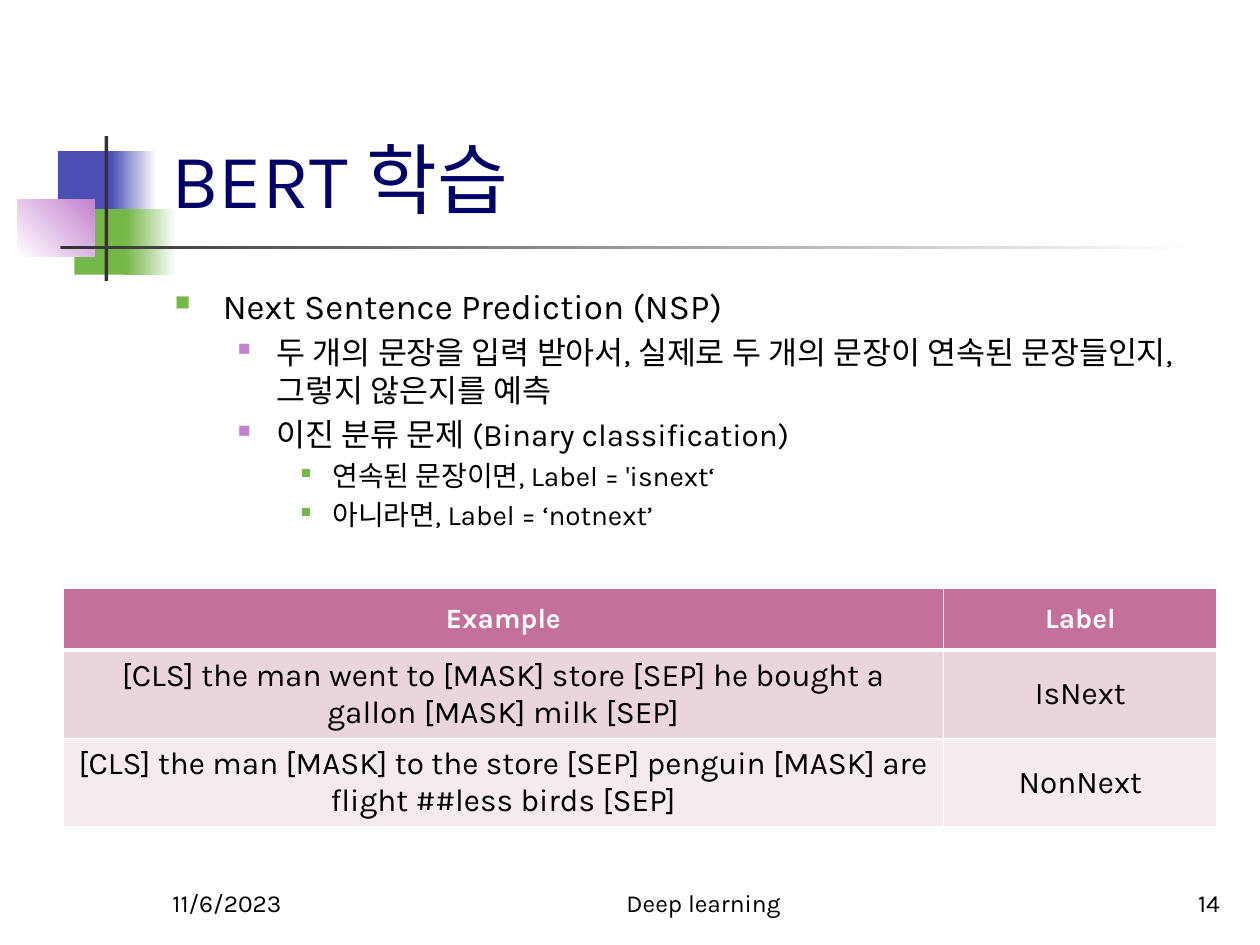
from lxml import etree
from pptx import Presentation
from pptx.dml.color import RGBColor
from pptx.enum import shapes, text
from pptx.oxml import ns
from pptx.util import Inches, Pt

FONT = "Karla"
BLACK = RGBColor(0x00, 0x00, 0x00)
WHITE = RGBColor(0xFF, 0xFF, 0xFF)
NAVY = RGBColor(0x00, 0x00, 0x66)
BLUE = RGBColor(0x4B, 0x4E, 0xB5)
GREEN = RGBColor(0x76, 0xB7, 0x49)
PURPLE = RGBColor(0xC4, 0x81, 0xCF)
GRAY = RGBColor(0x33, 0x33, 0x33)
ROSE = RGBColor(0xC4, 0x70, 0x9A)
ROSE_MID = RGBColor(0xEA, 0xD5, 0xDE)
ROSE_PALE = RGBColor(0xF5, 0xEB, 0xEF)

ORNAMENTS = [
    ((0.46, 1.2, 0.48, 0.52), [BLUE], 0),
    ((0.88, 1.2, 0.36, 0.52), [BLUE, WHITE], 0),
    ((0.59, 1.66, 0.46, 0.52), [GREEN], 0),
    ((1, 1.66, 0.4, 0.52), [GREEN, WHITE], 0),
    ((0.14, 1.58, 0.61, 0.46), [WHITE, PURPLE], 45),
    ((0.83, 1.08, 0.03, 1.15), [GRAY], 0),
    ((0.48, 1.95, 9, 0.03), [GRAY, WHITE], 0),
]
TITLE = "BERT 학습"
OUTLINE = [
    (0, "Next Sentence Prediction (NSP)"),
    (1, "두 개의 문장을 입력 받아서, 실제로 두 개의 문장이 연속된 문장들인지, 그렇지 않은지를 예측"),
    (1, "이진 분류 문제 (Binary classification)"),
    (2, "연속된 문장이면, Label = 'isnext‘"),
    (2, "아니라면, Label = ‘notnext’"),
]
LEVELS = [
    {"size": 20, "margin": 0.38, "hang": 0.38, "bullet": GREEN, "scale": 60},
    {"size": 18, "margin": 0.81, "hang": 0.31, "bullet": PURPLE, "scale": 55},
    {"size": 16, "margin": 1.25, "hang": 0.25, "bullet": GREEN, "scale": 50},
]
FOOTER = [
    ((1.27, 6.83, 2.08, 0.5), "11/6/2023", text.PP_ALIGN.LEFT),
    ((4, 6.83, 3.17, 0.5), "Deep learning", text.PP_ALIGN.CENTER),
    ((7.7, 6.83, 2.08, 0.5), "14", text.PP_ALIGN.RIGHT),
]
EXAMPLES = [
    ("Example", "Label"),
    ("[CLS] the man went to [MASK] store [SEP] he bought a gallon [MASK] milk [SEP]", "IsNext"),
    ("[CLS] the man [MASK] to the store [SEP] penguin [MASK] are flight ##less birds [SEP]", "NonNext"),
]
COLUMN_WIDTHS = [6.99, 2.17]
ROW_HEIGHTS = [0.49, 0.69, 0.69]
ROW_STYLES = [(ROSE, WHITE, 16, True), (ROSE_MID, BLACK, 18, False), (ROSE_PALE, BLACK, 18, False)]


def inches(box):
    return [Inches(length) for length in box]


def add_run(paragraph, words, size, color, bold=False):
    run = paragraph.add_run()
    run.text = words
    run.font.name = FONT
    run.font.size = Pt(size)
    run.font.bold = bold
    run.font.color.rgb = color


def add_frame(slide, box, anchor):
    frame = slide.shapes.add_textbox(*inches(box)).text_frame
    frame.word_wrap = True
    frame.vertical_anchor = anchor
    return frame


def add_child(parent, tag, **attributes):
    return etree.SubElement(parent, ns.qn(tag), **attributes)


def add_ornament(slide, box, colors, angle):
    block = slide.shapes.add_shape(shapes.MSO_SHAPE.RECTANGLE, *inches(box))
    block.shadow.inherit = False
    block.line.fill.background()
    if len(colors) == 1:
        block.fill.solid()
        block.fill.fore_color.rgb = colors[0]
        return
    block.fill.gradient()
    block.fill.gradient_angle = angle
    for stop, color in zip(block.fill.gradient_stops, colors):
        stop.color.rgb = color


def add_bullet(paragraph, level):
    props = paragraph._p.get_or_add_pPr()
    props.set("marL", str(Inches(level["margin"])))
    props.set("indent", str(-Inches(level["hang"])))
    add_child(add_child(props, "a:buClr"), "a:srgbClr", val=str(level["bullet"]))
    add_child(props, "a:buSzPct", val=str(level["scale"] * 1000))
    add_child(props, "a:buChar", char="■")


def add_outline(slide):
    frame = add_frame(slide, (1.29, 2.21, 8.5, 2.3), text.MSO_ANCHOR.TOP)
    for index, (depth, words) in enumerate(OUTLINE):
        level = LEVELS[depth]
        paragraph = frame.add_paragraph() if index else frame.paragraphs[0]
        paragraph.level = depth
        add_bullet(paragraph, level)
        if index:
            paragraph.space_before = Pt(level["size"] * 0.2)
        add_run(paragraph, words, level["size"], BLACK)


def add_borders(cell, is_header):
    props = cell._tc.get_or_add_tcPr()
    for side in "LRTB":
        heavy = is_header and side == "B"
        line = add_child(props, f"a:ln{side}", w=str(Pt(3 if heavy else 1)))
        add_child(add_child(line, "a:solidFill"), "a:srgbClr", val=str(WHITE))


def add_examples(slide):
    box = (0.5, 4.67, sum(COLUMN_WIDTHS), sum(ROW_HEIGHTS))
    table = slide.shapes.add_table(len(EXAMPLES), len(COLUMN_WIDTHS), *inches(box)).table
    for column, width in zip(table.columns, COLUMN_WIDTHS):
        column.width = Inches(width)
    for r, (fill, color, size, bold) in enumerate(ROW_STYLES):
        table.rows[r].height = Inches(ROW_HEIGHTS[r])
        for c, words in enumerate(EXAMPLES[r]):
            cell = table.cell(r, c)
            add_borders(cell, r == 0)
            cell.fill.solid()
            cell.fill.fore_color.rgb = fill
            cell.vertical_anchor = text.MSO_ANCHOR.MIDDLE
            paragraph = cell.text_frame.paragraphs[0]
            paragraph.alignment = text.PP_ALIGN.CENTER
            add_run(paragraph, words, size, color, bold)


def main():
    deck = Presentation()
    deck.slide_width, deck.slide_height = Inches(10), Inches(7.5)
    slide = deck.slides.add_slide(deck.slide_layouts[6])
    for box, colors, angle in ORNAMENTS:
        add_ornament(slide, box, colors, angle)
    title = add_frame(slide, (1.26, 0.23, 8.52, 1.6), text.MSO_ANCHOR.BOTTOM)
    add_run(title.paragraphs[0], TITLE, 44, NAVY)
    add_outline(slide)
    for box, words, alignment in FOOTER:
        paragraph = add_frame(slide, box, text.MSO_ANCHOR.BOTTOM).paragraphs[0]
        paragraph.alignment = alignment
        add_run(paragraph, words, 14, BLACK)
    add_examples(slide)
    deck.save("out.pptx")


if __name__ == "__main__":
    main()
